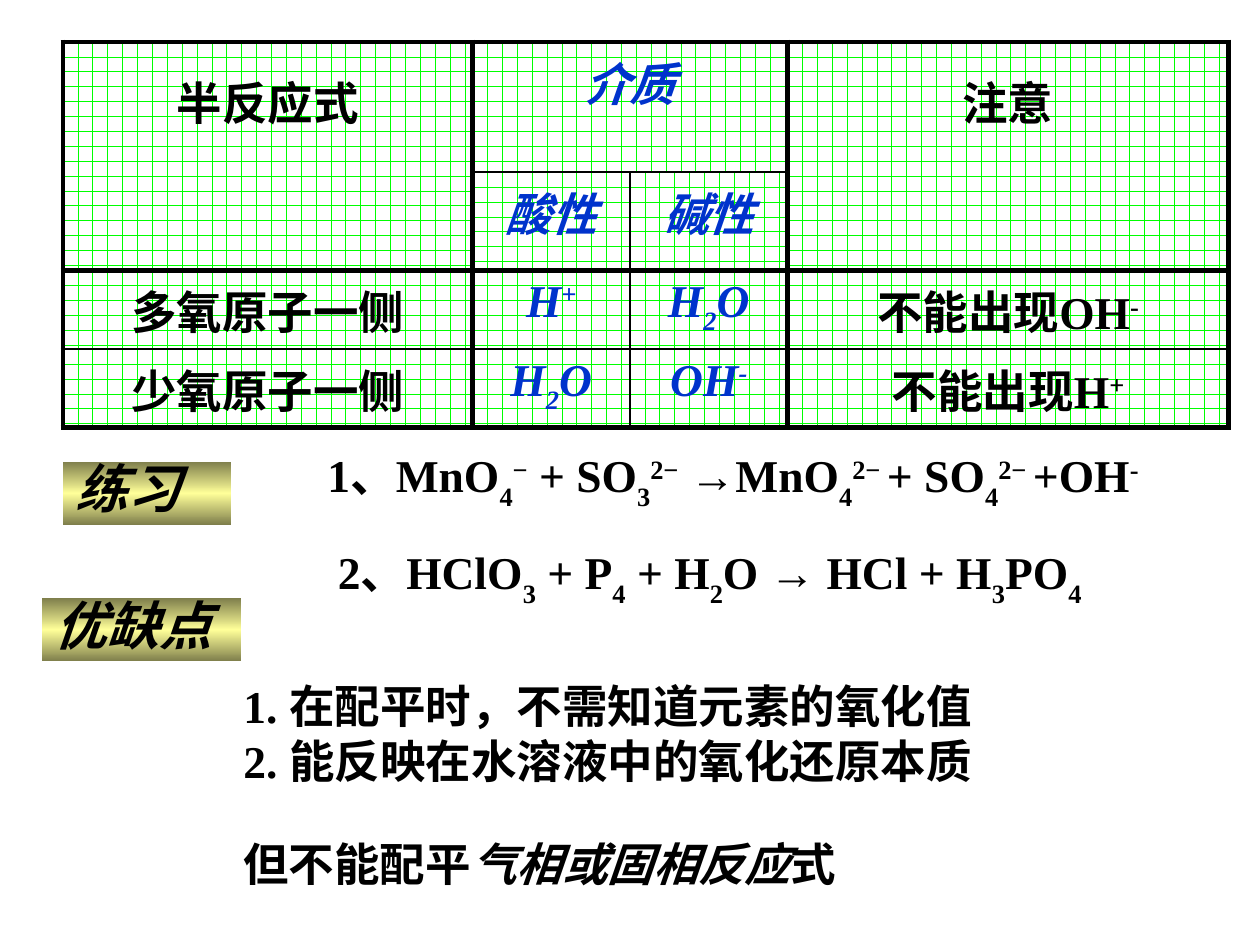
from copy import deepcopy
from dataclasses import dataclass

from lxml.etree import SubElement
from pptx import Presentation
from pptx.dml.color import RGBColor
from pptx.enum.dml import MSO_PATTERN
from pptx.enum.shapes import MSO_SHAPE
from pptx.enum.text import PP_ALIGN
from pptx.oxml.ns import qn
from pptx.util import Emu, Inches, Pt

COLORS = {"ink": "000000", "medium": "0033CC", "brick": "00FF00", "paper": "FFFFFF",
          "plate_edge": "7F7F4C", "plate_glow": "FFFF99"}
SERIF, SANS, CHINESE = "Times New Roman", "Arial", "Noto Sans CJK SC"
GRID_COLUMNS, GRID_ROWS = 120, 90
UNIT = Inches(10) // GRID_COLUMNS
BASELINES = {"_": -30000, "^": 30000}


@dataclass(frozen=True)
class Area:
    """A place on the grid, in columns and rows."""
    left: float
    top: float
    width: float
    height: float

    def lengths(self) -> list[Emu]:
        return [Emu(round(n * UNIT)) for n in (self.left, self.top, self.width, self.height)]


@dataclass(frozen=True)
class Style:
    size: int = 26
    font: str = SERIF
    color: str = "ink"
    italic: bool = False


@dataclass(frozen=True)
class Note:
    area: Area
    lines: tuple[str, ...]
    style: Style = Style()
    spacing: float = 1.0
    hanging: float = 0


@dataclass(frozen=True)
class Entry:
    row: int
    column: int
    text: str
    rows: int = 1
    columns: int = 1


PLATE_STYLE = Style(30, SANS, italic=True)
PLATES = (
    Note(Area(6, 44, 16, 6), ("练习",), PLATE_STYLE, 0.8),
    Note(Area(4, 57, 19, 6), ("优缺点",), PLATE_STYLE, 0.8),
)
NOTES = (
    Note(Area(30, 42, 87, 6.4),
         ("1、MnO|_4|^−| + SO|_3|^2−| →MnO|_4|^2− |+ SO|_4|^2− |+OH|^-",)),
    Note(Area(31, 50, 75, 7),
         ("2、HClO|_3| + P|_4| + H|_2|O → HCl + H|_3|PO|_4",), spacing=1.2, hanging=6),
    Note(Area(22, 64, 80, 11.6),
         ("1. 在配平时，不需知道元素的氧化值", "2. 能反映在水溶液中的氧化还原本质")),
    Note(Area(22, 79, 80, 6.4), ("但不能配平|/气相或固相反应|式",), Style(font=CHINESE)),
)
TABLE_AREA = Area(6, 4, 111, 33)
TABLE_COLUMNS = (39, 15, 15, 42)
TABLE_ROWS = (12.4, 5.9, 7.5, 7.2)
THICK_COLUMN_EDGES, THICK_ROW_EDGES = {0, 1, 3, 4}, {0, 2, 4}
MEDIUM_COLUMNS = {1, 2}
ENTRIES = (
    Entry(0, 0, "半反应式", rows=2), Entry(0, 1, "介质", columns=2), Entry(0, 3, "注意", rows=2),
    Entry(1, 1, "酸性"), Entry(1, 2, "碱性"),
    Entry(2, 0, "多氧原子一侧"), Entry(2, 1, "H|^+"), Entry(2, 2, "H|_2|O"),
    Entry(2, 3, "不能出现OH|^-"),
    Entry(3, 0, "少氧原子一侧"), Entry(3, 1, "H|_2|O"), Entry(3, 2, "OH|^-"),
    Entry(3, 3, "不能出现H|^+"),
)


def rgb(name: str) -> RGBColor:
    return RGBColor.from_string(COLORS[name])


def write(para, text: str, style: Style) -> None:
    """Write spans parted by |; a leading _ lowers, ^ raises and / slants a span."""
    for part in text.split("|"):
        mark = part[0] if part[0] in "_^/" else ""
        span = para.add_run()
        span.text = part[len(mark):]
        formats = {"size": Pt(style.size), "name": style.font, "bold": True,
                   "italic": style.italic or mark == "/"}
        for name, value in formats.items():
            setattr(span.font, name, value)
        span.font.color.rgb = rgb(style.color)
        properties = span.font._element
        SubElement(properties, qn("a:ea"), typeface=CHINESE)
        if mark in BASELINES:
            properties.set("baseline", str(BASELINES[mark]))


def fill_note(box, note: Note) -> None:
    frame = box.text_frame
    frame.word_wrap = True
    for index, line in enumerate(note.lines):
        para = frame.add_paragraph() if index else frame.paragraphs[0]
        para.alignment = PP_ALIGN.LEFT
        para.line_spacing = note.spacing
        if note.hanging:
            indent = round(note.hanging * UNIT)
            properties = para._p.get_or_add_pPr()
            properties.set("marL", str(indent))
            properties.set("indent", str(-indent))
        write(para, line, note.style)


def add_note(page, note: Note) -> None:
    fill_note(page.shapes.add_textbox(*note.area.lengths()), note)


def add_plate(page, note: Note) -> None:
    plate = page.shapes.add_shape(MSO_SHAPE.RECTANGLE, *note.area.lengths())
    plate.shadow.inherit = False
    plate.line.fill.background()
    plate.fill.gradient()
    plate.fill.gradient_angle = 90
    stops = plate._element.spPr.find(".//" + qn("a:gsLst"))
    stops.insert(1, deepcopy(stops[0]))
    names = ("plate_edge", "plate_glow", "plate_edge")
    for stop, position, name in zip(plate.fill.gradient_stops, (0, 0.5, 1), names):
        stop.position = position
        stop.color.rgb = rgb(name)
    fill_note(plate, note)


def rule_cell(cell, row: int, column: int) -> None:
    """Draw the cell's edges; cells hidden by a merge get only the thick ones."""
    right, bottom = column + cell.span_width, row + cell.span_height
    if cell.is_spanned:
        right, bottom = column + 1, row + 1
    edges = {"L": column in THICK_COLUMN_EDGES, "R": right in THICK_COLUMN_EDGES,
             "T": row in THICK_ROW_EDGES, "B": bottom in THICK_ROW_EDGES}
    properties = cell._tc.get_or_add_tcPr()
    for side, thick in edges.items():
        if thick or not cell.is_spanned:
            line = SubElement(properties, qn(f"a:ln{side}"), w=str(Pt(3 if thick else 1)))
            fill = SubElement(line, qn("a:solidFill"))
            SubElement(fill, qn("a:srgbClr"), val=COLORS["ink"])


def add_rules_table(page) -> None:
    table = page.shapes.add_table(len(TABLE_ROWS), len(TABLE_COLUMNS),
                                  *TABLE_AREA.lengths()).table
    table.first_row = table.horz_banding = False
    for column, width in zip(table.columns, TABLE_COLUMNS):
        column.width = Emu(width * UNIT)
    for row, height in zip(table.rows, TABLE_ROWS):
        row.height = Emu(round(height * UNIT))
    for entry in ENTRIES:
        cell = table.cell(entry.row, entry.column)
        if entry.rows * entry.columns > 1:
            cell.merge(table.cell(entry.row + entry.rows - 1, entry.column + entry.columns - 1))
        para = cell.text_frame.paragraphs[0]
        para.alignment = PP_ALIGN.CENTER
        para.line_spacing = 1.3 if entry.rows > 1 else 1.0
        medium = entry.column in MEDIUM_COLUMNS
        write(para, entry.text, Style(color="medium" if medium else "ink", italic=medium))
    for row in range(len(TABLE_ROWS)):
        for column in range(len(TABLE_COLUMNS)):
            cell = table.cell(row, column)
            rule_cell(cell, row, column)
            cell.fill.patterned()
            cell.fill.pattern = MSO_PATTERN.HORIZONTAL_BRICK
            cell.fill.fore_color.rgb = rgb("brick")
            cell.fill.back_color.rgb = rgb("paper")


def main() -> None:
    deck = Presentation()
    deck.slide_width, deck.slide_height = Emu(GRID_COLUMNS * UNIT), Emu(GRID_ROWS * UNIT)
    page = deck.slides.add_slide(deck.slide_layouts[6])
    add_rules_table(page)
    for plate in PLATES:
        add_plate(page, plate)
    for note in NOTES:
        add_note(page, note)
    deck.save("out.pptx")


if __name__ == "__main__":
    main()
